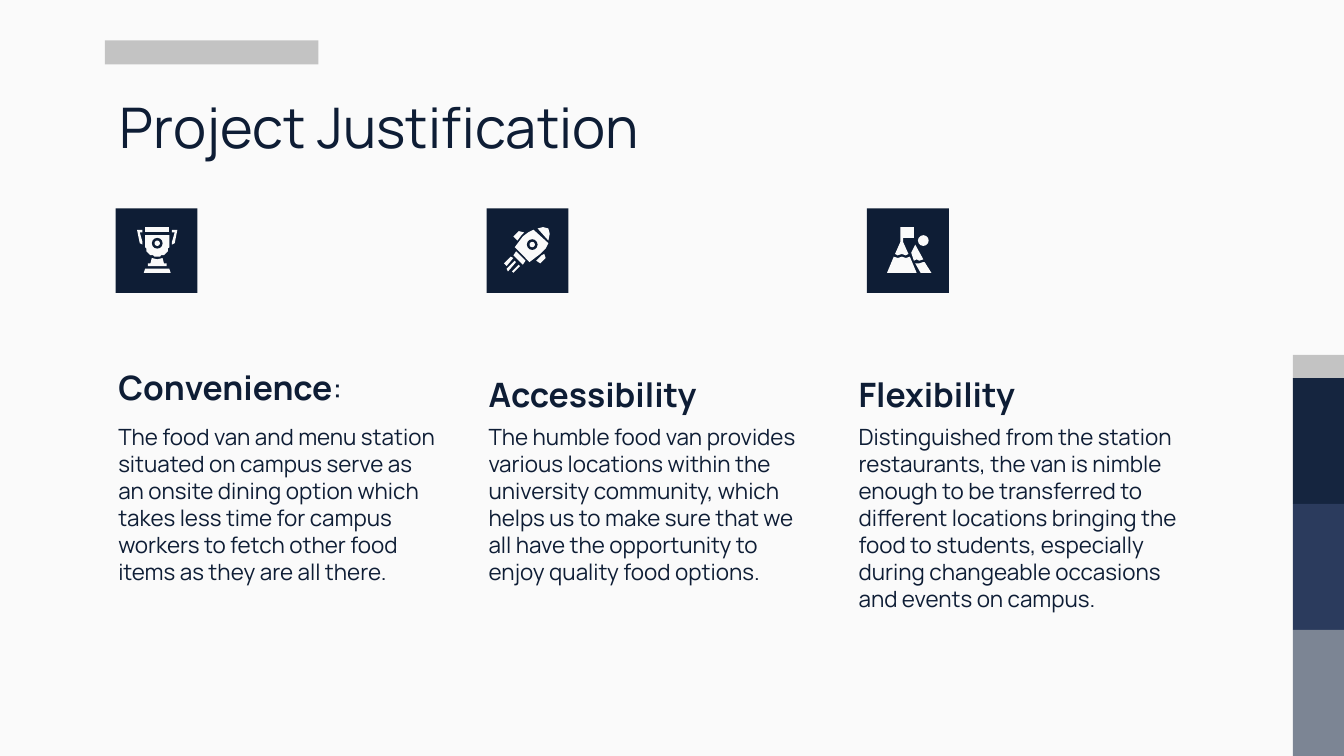
import math

import pptx
import pptx.dml.color
import pptx.enum.shapes
import pptx.enum.text
import pptx.oxml
import pptx.util

THEME = {
    "font": "Manrope",
    "title": 30, "heading": 18, "body": 12,
    "navy": "0E1D35", "paper": "FAFAFA", "grey": "C3C3C3",
    "bars": ["15253F", "2B3B5D", "7C8594"],
}
Inches = pptx.util.Inches
SHAPE = pptx.enum.shapes.MSO_SHAPE
ANCHOR = pptx.enum.text.MSO_ANCHOR
UNIT = Inches(0.01)  # icon outlines are drawn in hundredths of an inch
WIDTH, HEIGHT = 10, 5.625
COLUMN_LEFT, COLUMN_STEP, COLUMN_WIDTH = 0.78, 2.755, 2.59
TILE_TOP = 1.55

# Each column: heading, colon after it, heading top, tile left, text
COLUMNS = [
    ("Convenience", ":", 2.36, 0.86,
     "The food van and menu station situated on campus serve as an onsite dining option "
     "which takes less time for campus workers to fetch other food items as they are all there."),
    ("Accessibility", "", 2.41, 3.62,
     "The humble food van provides various locations within the university community, which "
     "helps us to make sure that we all have the opportunity to enjoy quality food options."),
    ("Flexibility", "", 2.41, 6.45,
     "Distinguished from the station restaurants, the van is nimble enough to be transferred "
     "to different locations bringing the food to students, especially during changeable "
     "occasions and events on campus."),
]

# Icon outlines, measured from the corner of their tile
right_handle = [(46, 16), (42, 16), (42, 18), (44, 18), (42, 25), (42, 27), (44, 26)]
bowl = [(31 + 9 * math.cos(math.radians(a)), 27 + 9 * math.sin(math.radians(a)))
        for a in range(0, 181, 10)]
trophy = [
    [(27, 37), (26, 41), (24, 41), (24, 43), (38, 43), (38, 41), (36, 41), (35, 37), (31, 38)],
    [(22, 45), (21, 48), (41, 48), (40, 45)],
    [(22, 20), (40, 20)] + bowl,
    [(22, 14), (22, 18), (40, 18), (40, 14)],
    right_handle,
    [(62 - x, y) for x, y in right_handle],
]
rocket = [
    [(22, 32), (20, 35), (27, 42), (29, 39)],
    [(24, 17), (20, 21), (23, 24), (26, 20), (28, 18)],
    [(43, 34), (41, 35), (37, 39), (40, 41), (44, 37)],
    [(18, 36), (13, 41), (15, 43), (20, 37)],
    [(21, 39), (15, 45), (16, 47), (22, 40)],
    [(24, 42), (19, 47), (20, 48), (25, 43)],
    [(42, 14), (38, 15), (46, 24), (47, 19), (46, 15)],
    [(35, 16), (31, 18), (27, 21), (21, 29), (32, 40), (40, 34), (44, 30), (46, 26)],
]
mountain = [
    [(32, 36), (29, 37), (26, 36), (23, 37), (20, 36), (15, 48), (37, 48)],
    [(25, 14), (25, 25), (21, 34), (23, 35), (26, 34), (29, 35), (31, 34),
     (27, 25), (27, 22), (35, 22), (35, 14)],
    [(36, 27), (33, 33), (35, 39), (37, 38), (39, 39), (42, 38)],
    [(42, 40), (39, 41), (36, 41), (40, 48), (48, 48), (43, 40)],
]
# Each icon: outlines, then discs as left, top, diameter, colour
ICONS = [
    (trophy, [(27, 22, 8, "navy"), (29, 24, 4, "paper")]),
    (rocket, [(30, 23, 8, "navy"), (32, 25, 4, "paper")]),
    (mountain, [(38, 20, 8, "paper")]),
]


def paint(shape, color):
    shape.shadow.inherit = False
    shape.fill.solid()
    shape.fill.fore_color.rgb = pptx.dml.color.RGBColor.from_string(color)
    shape.line.fill.background()


def write(shape, box, text, size, anchor=ANCHOR.TOP, bold=False, suffix=""):
    """Place a text shape and format it; the suffix is never bold."""
    shape.left, shape.top, shape.width, shape.height = map(Inches, box)
    frame = shape.text_frame
    frame.text = text
    frame.word_wrap = True
    frame.auto_size = pptx.enum.text.MSO_AUTO_SIZE.NONE
    frame.vertical_anchor = anchor
    frame.margin_left = frame.margin_right = Inches(0.1)
    frame.margin_top = frame.margin_bottom = Inches(0.1)
    paragraph = frame.paragraphs[0]
    paragraph.alignment = pptx.enum.text.PP_ALIGN.LEFT
    paragraph.space_before = pptx.util.Pt(0)
    properties = paragraph._p.get_or_add_pPr()
    properties.set("marL", "0")
    properties.set("indent", "0")
    properties.append(pptx.oxml.parse_xml(
        '<a:buNone xmlns:a="http://schemas.openxmlformats.org/drawingml/2006/main"/>'))
    if suffix:
        paragraph.add_run().text = suffix
    for index, run in enumerate(paragraph.runs):
        run.font.name = THEME["font"]
        run.font.size = pptx.util.Pt(THEME[size])
        run.font.bold = bold and index == 0
        run.font.color.rgb = pptx.dml.color.RGBColor.from_string(THEME["navy"])


presentation = pptx.Presentation()
presentation.slide_width, presentation.slide_height = Inches(WIDTH), Inches(HEIGHT)
slide = presentation.slides.add_slide(presentation.slide_layouts.get_by_name("Comparison"))
slide.background.fill.solid()
slide.background.fill.fore_color.rgb = pptx.dml.color.RGBColor.from_string(THEME["paper"])

# Side bars fill the lower half, one sixth of the height each
bar_height = HEIGHT / 6
bars = [(9.62, HEIGHT / 2 + i * bar_height, 0.38, bar_height, color)
        for i, color in enumerate(THEME["bars"])]
accents = [(9.62, 2.64, 0.38, 0.18, THEME["grey"]), (0.78, 0.3, 1.59, 0.18, THEME["grey"])]
for *box, color in accents + bars:
    paint(slide.shapes.add_shape(SHAPE.RECTANGLE, *map(Inches, box)), color)

write(slide.shapes.title, (0.79, 0.59, 8.43, 0.63), "Project Justification", "title")

# The layout holds two heading and body pairs; the third column uses text boxes
text_shapes = list(slide.placeholders)[1:]
text_shapes += [slide.shapes.add_textbox(0, 0, 0, 0) for _ in range(2)]
for i, (heading, suffix, heading_top, tile_left, text) in enumerate(COLUMNS):
    left = COLUMN_LEFT + i * COLUMN_STEP
    heading_shape, body_shape = text_shapes[2 * i:2 * i + 2]
    write(heading_shape, (left, heading_top, COLUMN_WIDTH, 0.77), heading, "heading",
          ANCHOR.BOTTOM, True, suffix)
    write(body_shape, (left, 3.05, COLUMN_WIDTH, 1.99), text, "body")

    tile_x, tile_y = Inches(tile_left), Inches(TILE_TOP)
    tile = slide.shapes.add_shape(SHAPE.RECTANGLE, tile_x, tile_y, Inches(0.61), Inches(0.63))
    paint(tile, THEME["navy"])
    icon = slide.shapes.add_group_shape()
    outlines, discs = ICONS[i]
    for points in outlines:
        builder = icon.shapes.build_freeform(*points[0], scale=UNIT)
        builder.add_line_segments(points[1:], close=True)
        paint(builder.convert_to_shape(tile_x, tile_y), THEME["paper"])
    for x, y, diameter, color in discs:
        disc = icon.shapes.add_shape(SHAPE.OVAL, tile_x + x * UNIT, tile_y + y * UNIT,
                                     diameter * UNIT, diameter * UNIT)
        paint(disc, THEME[color])

presentation.save("out.pptx")
